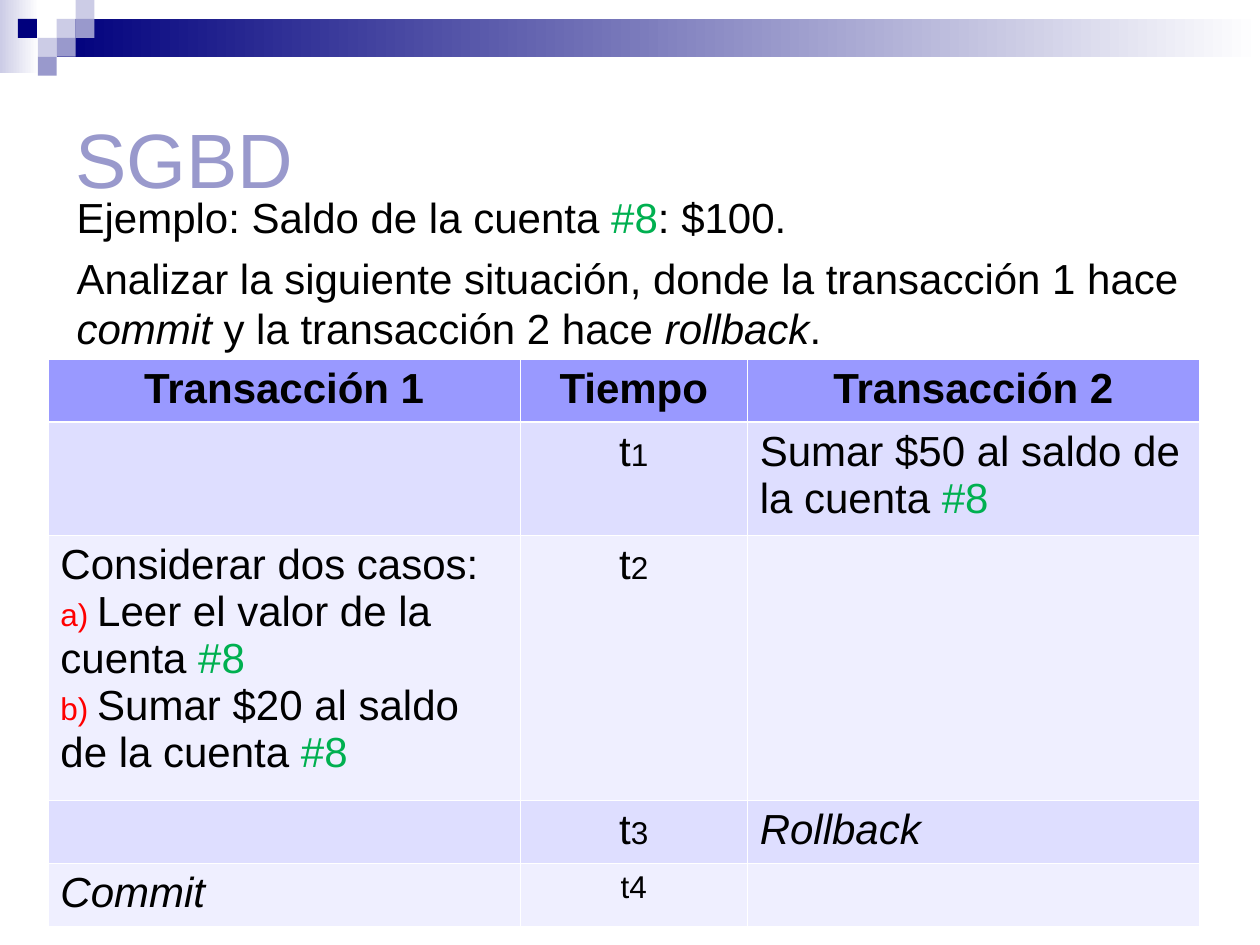
from lxml import etree
from pptx import Presentation
from pptx.dml.color import RGBColor
from pptx.enum.shapes import MSO_SHAPE as Shape
from pptx.enum.text import MSO_ANCHOR as Anchor, PP_ALIGN as Align
from pptx.oxml.ns import qn
from pptx.util import Inches, Pt

NAVY = RGBColor(0x00, 0x00, 0x7D)
PALE = RGBColor(0xCC, 0xCC, 0xE6)
LILAC = RGBColor(0x99, 0x99, 0xCC)
WHITE = RGBColor(0xFF, 0xFF, 0xFF)
BLACK = RGBColor(0x00, 0x00, 0x00)
GREEN = RGBColor(0x00, 0xB0, 0x50)
RED = RGBColor(0xFF, 0x00, 0x00)
HEADER = RGBColor(0x99, 0x99, 0xFF)
BANDS = [RGBColor(0xEF, 0xEF, 0xFF), RGBColor(0xDE, 0xDE, 0xFF)]
FONT = "Arial"

# Content: a paragraph is a list of runs (text, formatting)
ACCOUNT = ("#8", {"color": GREEN})
SMALL = {"size": 18}
ITEM = {"size": 18, "color": RED}
ITALIC = {"italic": True}
BOLD = {"bold": True}

TITLE = [[("SGBD", {"size": 44, "color": LILAC})]]
STATEMENT = [
    [("Ejemplo: Saldo de la cuenta ", {}), ACCOUNT, (": $100.", {})],
    [("Analizar la siguiente situación, donde la transacción 1 hace ", {}),
     ("commit", ITALIC), (" y la transacción 2 hace ", {}),
     ("rollback", ITALIC), (".", {})],
]
CASES = [
    [("Considerar dos casos:", {})],
    [("a) ", ITEM), ("Leer el valor de la cuenta ", {}), ACCOUNT],
    [("b) ", ITEM), ("Sumar $20 al saldo de la cuenta ", {}), ACCOUNT],
]
SCHEDULE = [
    [[[(name, BOLD)]] for name in ("Transacción 1", "Tiempo", "Transacción 2")],
    [[], [[("t", {}), ("1", SMALL)]],
     [[("Sumar $50 al saldo de la cuenta ", {}), ACCOUNT]]],
    [CASES, [[("t", {}), ("2", SMALL)]], []],
    [[], [[("t", {}), ("3", SMALL)]], [[("Rollback", ITALIC)]]],
    [[[("Commit", ITALIC)]], [[("t4", SMALL)]], []],
]
COLUMN_WIDTHS = [3.75, 1.8, 3.59]
ROW_HEIGHTS = [0.5, 0.9, 2.1, 0.5, 0.5]
TIME_COLUMN = 1

# Header ornament: gradient bars (left, top, width, height, start colour), squares
BARS = [(0, 0, 0.31, 0.58, PALE), (0.45, 0.15, 9.55, 0.3, NAVY)]
SQUARE = 0.15
SQUARES = [  # column, row, colour
    (3, 1, PALE), (4, 0, PALE), (4, 1, LILAC), (2, 2, PALE),
    (0.95, 1, NAVY), (3, 2, LILAC), (2, 3, LILAC),
]


def write(frame, paragraphs, align=Align.LEFT, gap=0):
    frame.word_wrap = True
    for i, runs in enumerate(paragraphs):
        para = frame.paragraphs[0] if i == 0 else frame.add_paragraph()
        para.alignment = align
        para.space_before = Pt(gap if i else 0)
        for text, style in runs:
            run = para.add_run()
            run.text = text
            font = run.font
            font.name = FONT
            font.size = Pt(style.get("size", 24))
            font.bold = style.get("bold", False)
            font.italic = style.get("italic", False)
            font.color.rgb = style.get("color", BLACK)


def add_rect(slide, left, top, width, height):
    rect = slide.shapes.add_shape(
        Shape.RECTANGLE, Inches(left), Inches(top), Inches(width), Inches(height))
    rect.shadow.inherit = False
    rect.line.fill.background()
    return rect


def add_text(slide, left, top, width, height, paragraphs, anchor=Anchor.TOP, gap=0):
    box = slide.shapes.add_textbox(
        Inches(left), Inches(top), Inches(width), Inches(height))
    box.text_frame.vertical_anchor = anchor
    write(box.text_frame, paragraphs, gap=gap)


def set_borders(cell, widths):
    props = cell._tc.get_or_add_tcPr()
    for i, (side, width) in enumerate(widths.items()):
        line = etree.Element(qn(f"a:ln{side}"), w=str(Pt(width)))
        fill = etree.SubElement(line, qn("a:solidFill"))
        etree.SubElement(fill, qn("a:srgbClr"), val=str(WHITE))
        props.insert(i, line)


def add_schedule(slide, left, top):
    table = slide.shapes.add_table(
        len(ROW_HEIGHTS), len(COLUMN_WIDTHS), Inches(left), Inches(top),
        Inches(sum(COLUMN_WIDTHS)), Inches(sum(ROW_HEIGHTS))).table
    table.horz_banding = False
    for column, width in zip(table.columns, COLUMN_WIDTHS):
        column.width = Inches(width)
    for r, (row, height) in enumerate(zip(SCHEDULE, ROW_HEIGHTS)):
        table.rows[r].height = Inches(height)
        for c, paragraphs in enumerate(row):
            cell = table.cell(r, c)
            cell.fill.solid()
            cell.fill.fore_color.rgb = BANDS[r % 2] if r else HEADER
            set_borders(cell, {"L": 0.45, "R": 0.45,
                               "T": 1.47 if r == 1 else 0.45,
                               "B": 1.47 if r == 0 else 0.45})
            centred = r == 0 or c == TIME_COLUMN
            write(cell.text_frame, paragraphs,
                  Align.CENTER if centred else Align.LEFT)


def main():
    prs = Presentation()
    prs.slide_width, prs.slide_height = Inches(10), Inches(7.5)
    slide = prs.slides.add_slide(prs.slide_layouts[6])

    # Header ornament
    for *place, start in BARS:
        fill = add_rect(slide, *place).fill
        fill.gradient()
        fill.gradient_angle = 0
        for stop, color, position in zip(fill.gradient_stops, (start, WHITE), (0, 1)):
            stop.color.rgb = color
            stop.position = position
    for column, row, color in SQUARES:
        square = add_rect(slide, column * SQUARE, row * SQUARE, SQUARE, SQUARE)
        square.fill.solid()
        square.fill.fore_color.rgb = color

    # Title, statement and schedule
    add_text(slide, 0.5, 0.5, 9, 1.5, TITLE, Anchor.MIDDLE)
    add_text(slide, 0.51, 1.47, 9, 1.89, STATEMENT, gap=6)
    add_schedule(slide, 0.38, 2.85)

    prs.save("out.pptx")


if __name__ == "__main__":
    main()
